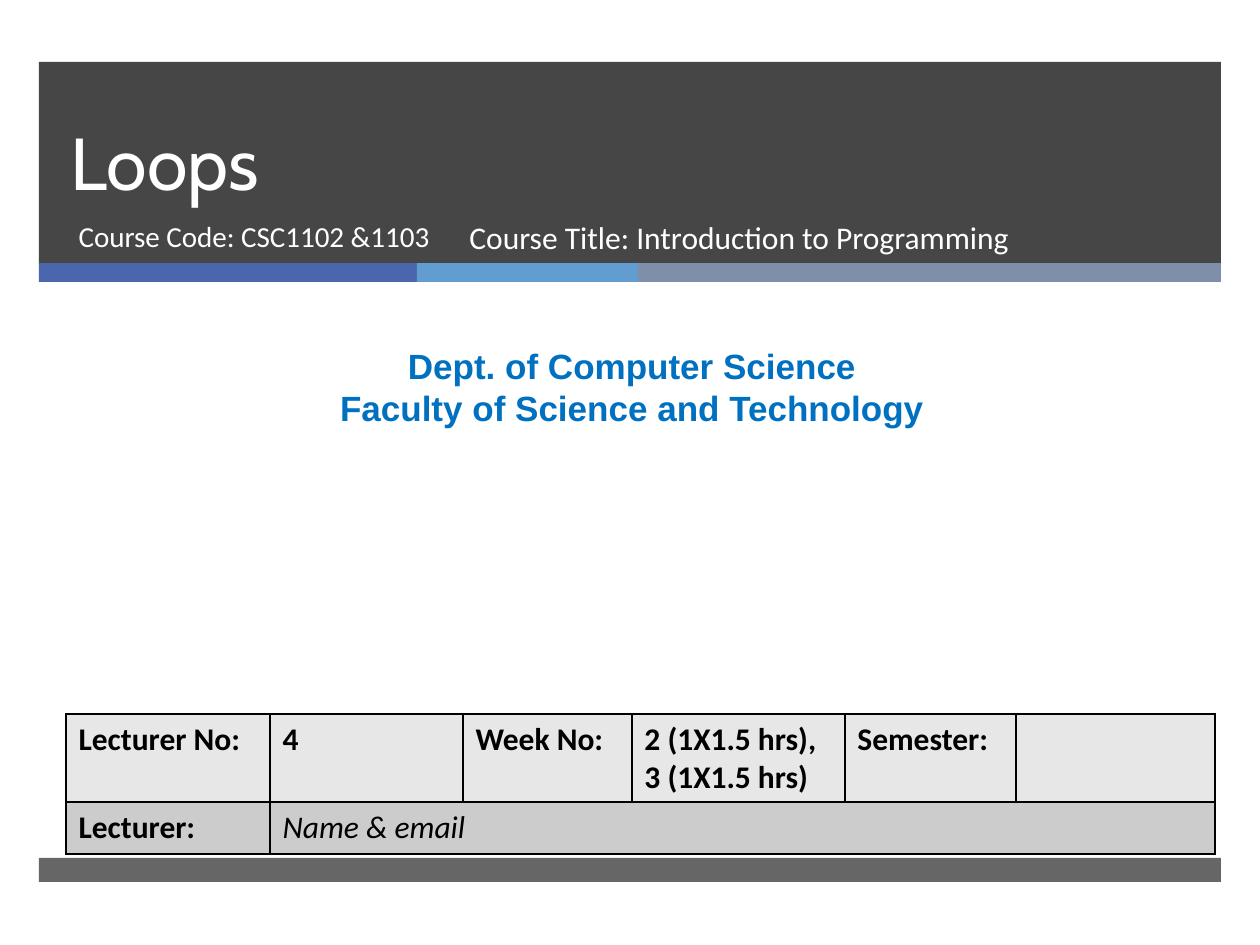
from dataclasses import dataclass
from itertools import accumulate

from lxml.etree import SubElement
from pptx import Presentation
from pptx.dml.color import RGBColor
from pptx.enum.shapes import MSO_SHAPE as Preset
from pptx.enum.text import MSO_ANCHOR as Anchor, MSO_AUTO_SIZE as AutoSize, PP_ALIGN as Align
from pptx.oxml.ns import qn
from pptx.util import Emu, Inches, Pt

PX_PER_INCH = 126


@dataclass(frozen=True)
class Theme:
    dark: str = "262626"
    white: str = "FFFFFF"
    black: str = "000000"
    heading: str = "0070C0"
    stripes: tuple[str, ...] = ("4A66AC", "629DD1", "7F8FA9")
    rows: tuple[str, ...] = ("E7E7E7", "CCCCCC")
    title_font: str = "Cabin"
    body_font: str = "Calibri"
    heading_font: str = "Arial"
    title_size: float = 42
    heading_size: float = 20
    body_size: float = 18
    code_size: float = 16.6


@dataclass(frozen=True)
class Box:
    left: int
    top: int
    width: int
    height: int

    def emu(self) -> tuple[Emu, ...]:
        return tuple(px(n) for n in (self.left, self.top, self.width, self.height))


@dataclass(frozen=True)
class Band:
    box: Box
    color: str
    opacity: int = 100


THEME = Theme()
BAND_LEFT, BAND_WIDTH = 39, 1182
STRIPE_WIDTHS = (378, 221, 583)
STRIPE_LEFTS = accumulate(STRIPE_WIDTHS[:-1], initial=BAND_LEFT)
BANDS = [
    Band(Box(BAND_LEFT, 62, BAND_WIDTH, 202), THEME.dark, 85),
    *(Band(Box(left, 263, width, 19), color)
      for left, width, color in zip(STRIPE_LEFTS, STRIPE_WIDTHS, THEME.stripes)),
    Band(Box(BAND_LEFT, 858, BAND_WIDTH, 24), THEME.dark, 70),
]
COLUMN_WIDTHS = (204, 193, 169, 213, 171, 199)
ROW_HEIGHTS = (88, 52)
TABLE_ROWS = (
    ("Lecturer No:", "4", "Week No:", "2 (1X1.5 hrs),\n3 (1X1.5 hrs)", "Semester:", ""),
    ("Lecturer:", "Name & email", "", "", "", ""),
)


def px(length: int) -> Emu:
    return Emu(round(length * Inches(1) / PX_PER_INCH))


def write(frame, text: str, *, size: float = THEME.body_size, font: str = THEME.body_font,
          color: str = THEME.white, bold: bool = False, italic: bool = False,
          align: Align = Align.LEFT, line_spacing=None) -> None:
    """Fill a text frame, one paragraph for each line of text."""
    frame.text = text
    frame.word_wrap = True
    for paragraph in frame.paragraphs:
        paragraph.alignment = align
        paragraph.space_before = Pt(0)
        paragraph.line_spacing = line_spacing
        for run in paragraph.runs:
            run.font.size = Pt(size)
            run.font.name = font
            run.font.bold = bold
            run.font.italic = italic
            run.font.color.rgb = RGBColor.from_string(color)


def place(shape, box: Box) -> None:
    shape.left, shape.top, shape.width, shape.height = box.emu()


def add_band(slide, band: Band) -> None:
    shape = slide.shapes.add_shape(Preset.RECTANGLE, *band.box.emu())
    shape.shadow.inherit = False
    shape.line.fill.background()
    shape.fill.solid()
    shape.fill.fore_color.rgb = RGBColor.from_string(band.color)
    if band.opacity < 100:
        color = shape._element.spPr.find(f"{qn('a:solidFill')}/{qn('a:srgbClr')}")
        SubElement(color, qn("a:alpha"), val=str(band.opacity * 1000))


def add_text_box(slide, box: Box, text: str, **text_format):
    shape = slide.shapes.add_textbox(*box.emu())
    write(shape.text_frame, text, **text_format)
    return shape


def add_borders(cell) -> None:
    """Outline a cell; borders must come before its fill in the XML."""
    properties = cell._tc.get_or_add_tcPr()
    for side in ("a:lnL", "a:lnR", "a:lnT", "a:lnB"):
        line = SubElement(properties, qn(side), w=str(Pt(1)))
        fill = SubElement(line, qn("a:solidFill"))
        SubElement(fill, qn("a:srgbClr"), val=THEME.black)


def add_lecture_table(slide) -> None:
    box = Box(66, 714, sum(COLUMN_WIDTHS), sum(ROW_HEIGHTS))
    table = slide.shapes.add_table(len(TABLE_ROWS), len(COLUMN_WIDTHS), *box.emu()).table
    table.first_row = table.horz_banding = False
    for column, width in zip(table.columns, COLUMN_WIDTHS):
        column.width = px(width)
    for row, height, texts, color in zip(table.rows, ROW_HEIGHTS, TABLE_ROWS, THEME.rows):
        row.height = px(height)
        for cell, text in zip(row.cells, texts):
            add_borders(cell)
            cell.fill.solid()
            cell.fill.fore_color.rgb = RGBColor.from_string(color)
            is_name = text == "Name & email"
            write(cell.text_frame, text, color=THEME.black, bold=not is_name, italic=is_name)
    table.cell(1, 1).merge(table.cell(1, len(COLUMN_WIDTHS) - 1))


def main() -> None:
    presentation = Presentation()
    presentation.slide_width, presentation.slide_height = Inches(10), Inches(7.5)
    slide = presentation.slides.add_slide(presentation.slide_layouts[0])
    title, subtitle = slide.placeholders

    for band in BANDS:
        add_band(slide, band)
    for placeholder in (title, subtitle):  # bring the text in front of the bands
        slide.shapes._spTree.append(placeholder._element)

    place(title, Box(58, 62, 1076, 150))
    title.text_frame.vertical_anchor = Anchor.BOTTOM
    write(title.text_frame, "Loops", size=THEME.title_size, font=THEME.title_font,
          line_spacing=Pt(46))
    place(subtitle, Box(66, 212, 404, 67))
    write(subtitle.text_frame, "Course Code: CSC1102 &1103", size=THEME.code_size)

    department = add_text_box(
        slide, Box(10, 338, 1244, 97),
        "Dept. of Computer Science\nFaculty of Science and Technology",
        size=THEME.heading_size, font=THEME.heading_font, color=THEME.heading,
        bold=True, align=Align.CENTER)
    department.text_frame.auto_size = AutoSize.SHAPE_TO_FIT_TEXT
    add_lecture_table(slide)
    add_text_box(slide, Box(457, 212, 573, 67), "Course Title: Introduction to Programming")
    presentation.save("out.pptx")


if __name__ == "__main__":
    main()
